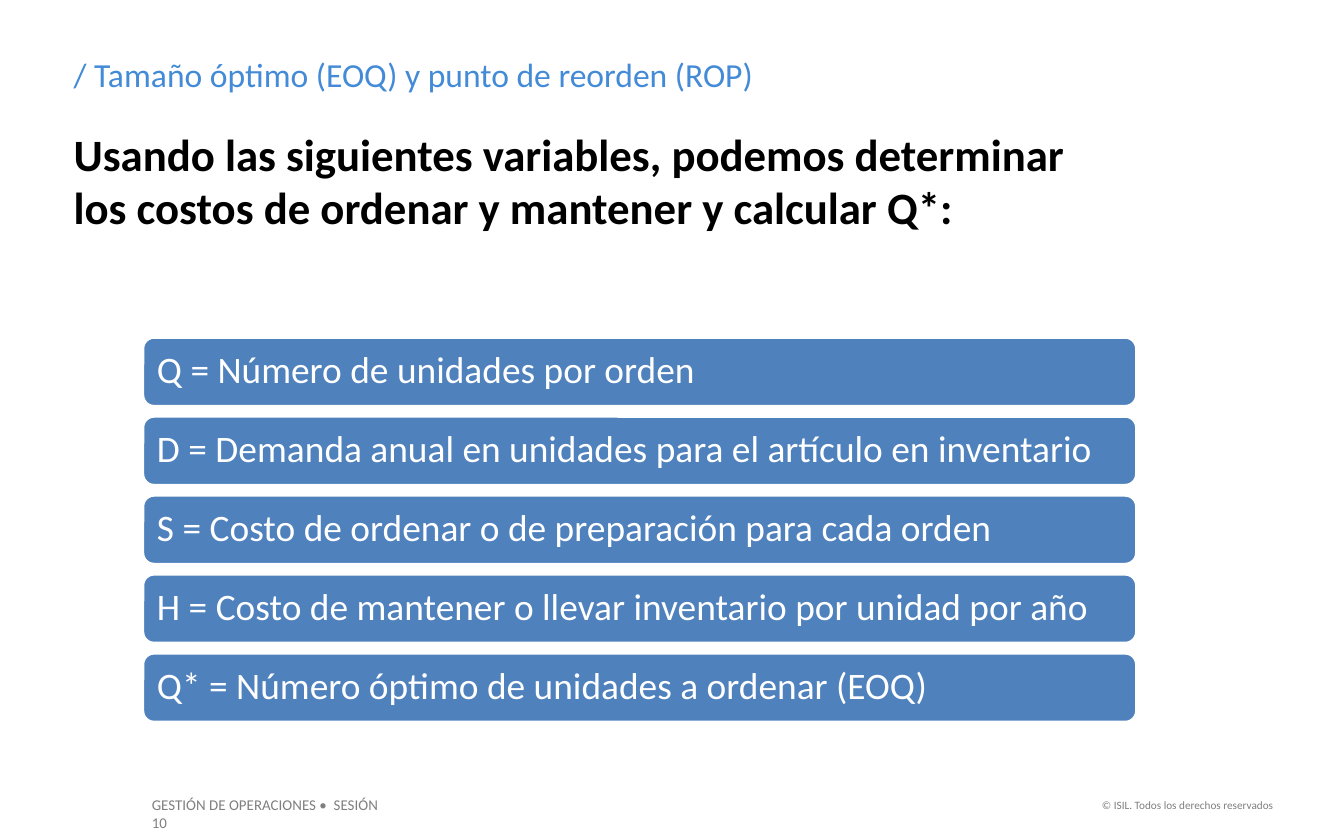
from pptx import Presentation
from pptx import util as u
from pptx.dml.color import RGBColor
from pptx.enum import shapes, text

FONT = "Calibri"
COLORS = {
    "topic": "438AD7",
    "heading": "000000",
    "bar": "4F81BD",
    "white": "FFFFFF",
    "footer": "7F7F7F",
}
VARIABLES = [
    "Q = Número de unidades por orden",
    "D = Demanda anual en unidades para el artículo en inventario",
    "S = Costo de ordenar o de preparación para cada orden",
    "H = Costo de mantener o llevar inventario por unidad por año",
    "Q* = Número óptimo de unidades a ordenar (EOQ)",
]
BAR_LEFT, BAR_TOP, BAR_WIDTH, BAR_HEIGHT = 76.3, 180.5, 532.8, 37.4
BAR_PITCH = 42.3


def rgb(name):
    return RGBColor.from_string(COLORS[name])


def write(tf, content, size, color, bold=False, align=text.PP_ALIGN.LEFT):
    tf.word_wrap = True
    p = tf.paragraphs[0]
    p.text = content
    p.alignment = align
    p.font.name = FONT
    p.font.size = u.Pt(size)
    p.font.bold = bold
    p.font.color.rgb = rgb(color)
    return p


def add_text(s, box, content, size, color, **style):
    sp = s.shapes.add_textbox(*map(u.Pt, box))
    write(sp.text_frame, content, size, color, **style)


def add_bar(s, top, content):
    box = (BAR_LEFT, top, BAR_WIDTH, BAR_HEIGHT)
    sp = s.shapes.add_shape(shapes.MSO_SHAPE.ROUNDED_RECTANGLE, *map(u.Pt, box))
    sp.shadow.inherit = False
    sp.fill.solid()
    sp.fill.fore_color.rgb = rgb("bar")
    sp.line.color.rgb = rgb("white")
    sp.line.width = u.Pt(2)
    tf = sp.text_frame
    tf.margin_left = tf.margin_right = u.Pt(6)
    tf.margin_top = tf.margin_bottom = u.Pt(6)
    tf.vertical_anchor = text.MSO_ANCHOR.MIDDLE
    p = write(tf, content, 20, "white")
    p.line_spacing = 0.9


def main():
    prs = Presentation()
    prs.slide_width, prs.slide_height = u.Pt(720), u.Pt(450)
    s = prs.slides.add_slide(prs.slide_layouts[6])

    add_text(s, (74.2, 422.6, 145.4, 17), "GESTIÓN DE OPERACIONES •  SESIÓN 10",
             8, "footer")
    add_text(s, (578.2, 424.1, 110.9, 14.5), "© ISIL. Todos los derechos reservados",
             6, "footer", align=text.PP_ALIGN.RIGHT)
    add_text(s, (32.4, 25.2, 567.4, 29),
             "/ Tamaño óptimo (EOQ) y punto de reorden (ROP)", 18, "topic")
    add_text(s, (32.4, 64.1, 566.6, 65.4),
             "Usando las siguientes variables, podemos determinar "
             "los costos de ordenar y mantener y calcular Q*:",
             24, "heading", bold=True)
    for i, variable in enumerate(VARIABLES):
        add_bar(s, BAR_TOP + i * BAR_PITCH, variable)

    prs.save("out.pptx")


if __name__ == "__main__":
    main()
